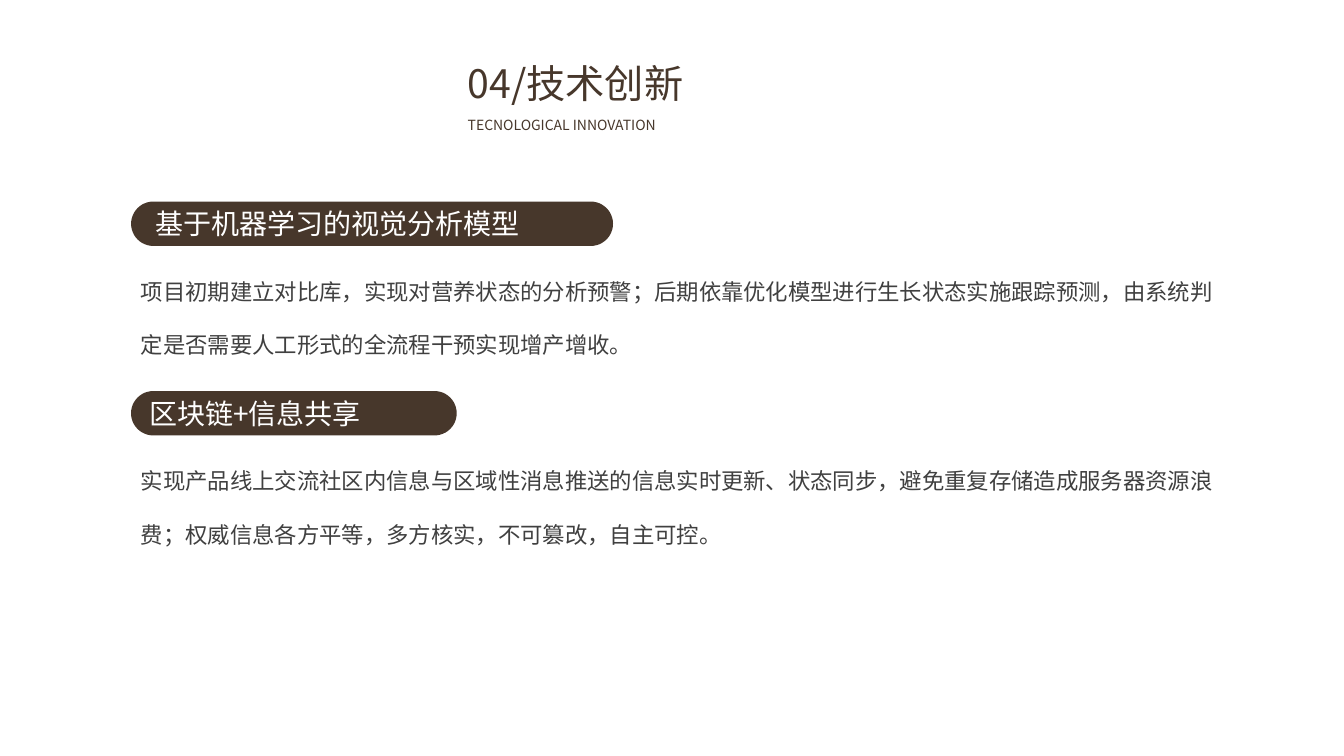
from lxml import etree
from pptx import Presentation
from pptx.dml.color import RGBColor
from pptx.enum.shapes import MSO_SHAPE
from pptx.enum.text import MSO_ANCHOR, MSO_AUTO_SIZE, PP_ALIGN
from pptx.oxml.ns import qn
from pptx.util import Inches, Pt

ROUND_RECT = MSO_SHAPE.ROUNDED_RECTANGLE
TOP = MSO_ANCHOR.TOP
NO_FIT = MSO_AUTO_SIZE.NONE
LEFT, JUSTIFY = PP_ALIGN.LEFT, PP_ALIGN.JUSTIFY

BROWN = RGBColor(0x47, 0x37, 0x2B)
GREY = RGBColor(0x40, 0x40, 0x40)
WHITE = RGBColor(0xFF, 0xFF, 0xFF)
FONT = "Noto Sans CJK SC"

PILL_HEIGHT = 0.44
BODY_HEIGHT = 1.1

SECTIONS = [
    (2, 4.78, 0.14, "基于机器学习的视觉分析模型",
     "项目初期建立对比库，实现对营养状态的分析预警；后期依靠优化模型进行生长状态实施跟踪预测，"
     "由系统判定是否需要人工形式的全流程干预实现增产增收。"),
    (3.88, 3.23, 0.08, "区块链+信息共享",
     "实现产品线上交流社区内信息与区域性消息推送的信息实时更新、状态同步，避免重复存储造成服务器资源浪费；"
     "权威信息各方平等，多方核实，不可篡改，自主可控。"),
]


def write_text(sp, text, size, color, align=JUSTIFY, spacing=1):
    tf = sp.text_frame
    tf.word_wrap = True
    tf.auto_size = NO_FIT
    tf.vertical_anchor = TOP
    tf.margin_left = tf.margin_right = Inches(0.1)
    tf.margin_top = tf.margin_bottom = Inches(0.05)
    p = tf.paragraphs[0]
    p.alignment = align
    p.line_spacing = spacing
    p.space_before = Pt(0)
    r = p.add_run()
    r.text = text
    r.font.size = Pt(size)
    r.font.name = FONT
    r.font.color.rgb = color
    ea = etree.SubElement(r.font._element, qn("a:ea"))
    ea.set("typeface", FONT)


def add_text(slide, left, top, width, height, *style):
    box = slide.shapes.add_textbox(
        Inches(left), Inches(top), Inches(width), Inches(height))
    write_text(box, *style)


def add_heading(slide, left, top, width):
    title = slide.shapes.title
    title.left, title.top = Inches(left), Inches(top)
    title.width, title.height = Inches(width), Inches(0.57)
    write_text(title, "04/技术创新", 28, BROWN)
    add_text(slide, left, top + 0.57, width, 0.27,
             "TECNOLOGICAL INNOVATION", 10, BROWN)


def add_section(slide, left, top, width, pill_width, indent, label, body):
    add_text(slide, left, top + PILL_HEIGHT, width, BODY_HEIGHT,
             body, 16, GREY, LEFT, 2)
    pill = slide.shapes.add_shape(
        ROUND_RECT, Inches(left), Inches(top),
        Inches(pill_width), Inches(PILL_HEIGHT))
    pill.adjustments[0] = 0.5
    pill.shadow.inherit = False
    pill.fill.solid()
    pill.fill.fore_color.rgb = BROWN
    pill.line.fill.background()
    add_text(slide, left + indent, top, pill_width - 2 * indent, PILL_HEIGHT,
             label, 20, WHITE)


def main():
    prs = Presentation()
    prs.slide_width, prs.slide_height = Inches(13.33), Inches(7.5)
    slide = prs.slides.add_slide(prs.slide_layouts[5])
    add_heading(slide, 4.54, 0.54, 4.18)
    for top, *section in SECTIONS:
        add_section(slide, 1.3, top, 10.85, *section)
    prs.save("out.pptx")


if __name__ == "__main__":
    main()
